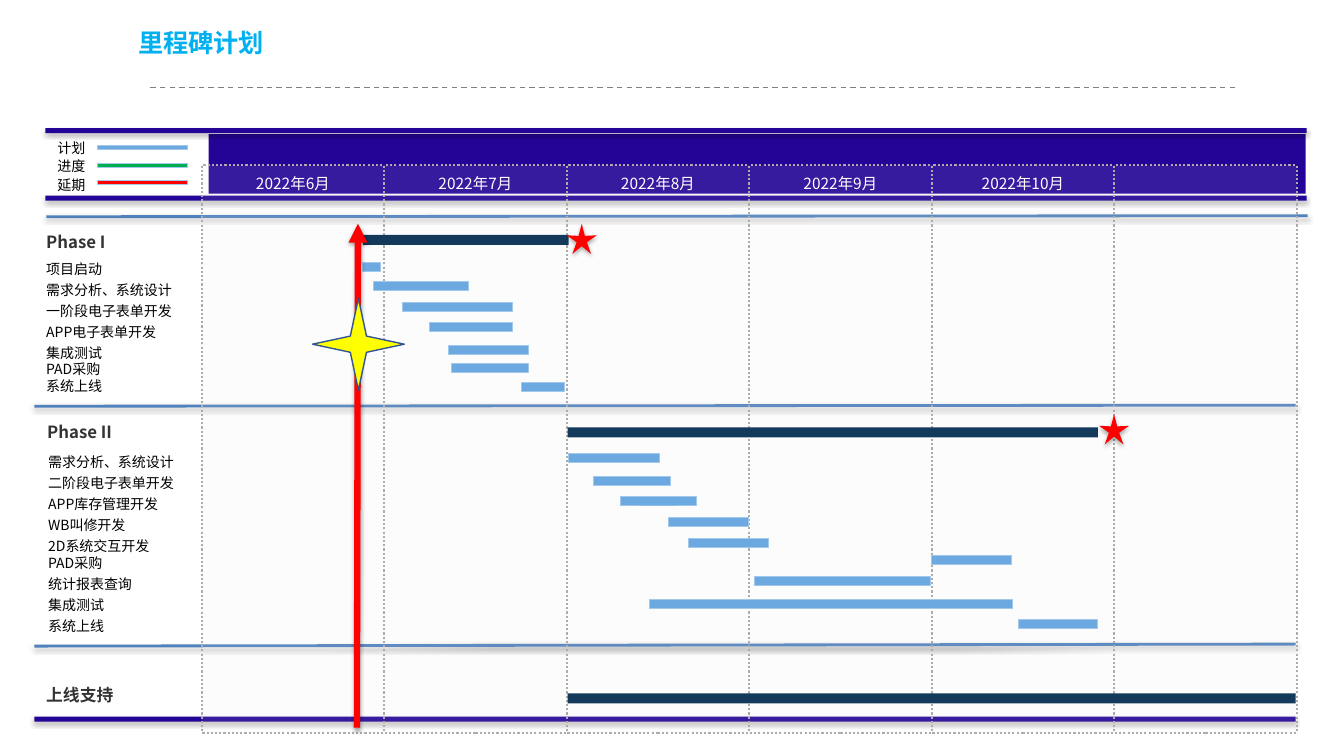
from lxml.etree import SubElement
from pptx import Presentation
from pptx.dml.color import RGBColor
from pptx.enum.dml import MSO_LINE as Dash
from pptx.enum.shapes import MSO_CONNECTOR as Connector, MSO_SHAPE as Shape
from pptx.enum.text import MSO_ANCHOR as Anchor, MSO_AUTO_SIZE as AutoSize, PP_ALIGN as Align
from pptx.oxml.ns import qn
from pptx.util import Emu, Pt

PX = 9144  # one hundredth of an inch
FONT = "Noto Sans CJK SC"
PURPLE, RULE_BLUE, SUMMARY, TASK, TASK_EDGE = "230496", "4F81BD", "133A5B", "6BA9E0", "A2C9EB"
RED, GREEN, YELLOW, BLACK, WHITE = "FF0000", "00B050", "FFFF00", "000000", "FFFFFF"

MONTHS = ["2022年6月", "2022年7月", "2022年8月", "2022年9月", "2022年10月", ""]
MONTH_LEFT, MONTH_WIDTH = 200, 181

LEGEND = [("计划", TASK), ("进度", GREEN), ("延期", RED)]

# heading, left, top, width
HEADINGS = [("Phase I", 36, 225, 81), ("Phase II", 37, 413, 86), ("上线支持", 36, 674, 88)]

# left, top, width, height, tasks
TASK_LISTS = [
    (36, 249, 159, 166, ["项目启动", "需求分析、系统设计", "一阶段电子表单开发",
                         "APP电子表单开发", "集成测试", "PAD采购", "系统上线"]),
    (38, 441, 163, 216, ["需求分析、系统设计", "二阶段电子表单开发", "APP库存管理开发",
                         "WB叫修开发", "2D系统交互开发", "PAD采购", "统计报表查询",
                         "集成测试", "系统上线"]),
]
SINGLE_SPACED = {(0, "PAD采购"), (0, "系统上线"), (1, "PAD采购")}

# left, top, width
SUMMARY_BARS = [(360, 233, 204), (563, 424, 526), (563, 688, 722)]
TASK_BARS = [
    (360, 260, 17), (370, 279, 95), (399, 300, 109), (426, 320, 82),
    (445, 343, 79), (448, 361, 76), (517, 379, 43),
    (564, 450, 90), (589, 473, 76), (615, 493, 76), (663, 513, 79), (683, 534, 79),
    (924, 551, 79), (748, 572, 175), (644, 595, 360), (1010, 615, 79),
]


def px(value):
    return Emu(value * PX)


def rgb(value):
    return RGBColor.from_string(value)


class MilestonePage:
    def __init__(self, deck):
        self.page = deck.slides.add_slide(deck.slide_layouts[5])
        self.shapes = self.page.shapes

    def effects(self, item, shadow=None):
        """Replace theme effects by none, or by a downward shadow of (opacity, distance)."""
        props = item.element.spPr
        effects = SubElement(props, qn("a:effectLst"))
        if shadow:
            opacity, distance = shadow
            outer = SubElement(effects, qn("a:outerShdw"), blurRad=str(Pt(3.1)),
                               dist=str(Pt(distance)), dir="5400000", rotWithShape="0")
            color = SubElement(outer, qn("a:srgbClr"), val=BLACK)
            SubElement(color, qn("a:alpha"), val=str(opacity * 1000))

    def stroke(self, item, color, width, dash=None):
        item.line.color.rgb = rgb(color)
        for name, value in {"width": Pt(width), "dash_style": dash}.items():
            setattr(item.line, name, value)

    def shape(self, kind, left, top, width, height, fill, edge=None, opacity=None, shadow=None):
        item = self.shapes.add_shape(kind, px(left), px(top), px(width), px(height))
        item.fill.solid()
        item.fill.fore_color.rgb = rgb(fill)
        if opacity:
            color = item.element.spPr.find(qn("a:solidFill"))[0]
            SubElement(color, qn("a:alpha"), val=str(opacity * 1000))
        if edge:
            self.stroke(item, *edge)
        else:
            item.line.fill.background()
        self.effects(item, shadow)
        return item

    def line(self, start, end, color, width, dash=None, shadow=None, arrow=False):
        item = self.shapes.add_connector(Connector.STRAIGHT, *map(px, start + end))
        self.stroke(item, color, width, dash)
        if arrow:
            SubElement(item.element.spPr.find(qn("a:ln")), qn("a:tailEnd"), type="triangle")
        self.effects(item, shadow)

    def add_text(self, para, text, size, color, bold=False, **layout):
        span = para.add_run()
        span.text = text
        for name, value in {"name": FONT, "size": Pt(size), "bold": bold}.items():
            setattr(span.font, name, value)
        span.font.color.rgb = rgb(color)
        SubElement(span.font._element, qn("a:ea"), typeface=FONT)
        for name, value in layout.items():
            setattr(para, name, value)

    def textbox(self, left, top, width, height, wrap=False):
        box = self.shapes.add_textbox(px(left), px(top), px(width), px(height))
        frame = box.text_frame
        for name, value in {"word_wrap": wrap, "auto_size": AutoSize.SHAPE_TO_FIT_TEXT}.items():
            setattr(frame, name, value)
        return frame

    def title(self, text):
        title = self.shapes.title
        place = {"left": 127, "top": 10, "width": 1000, "height": 67}
        for name, value in place.items():
            setattr(title, name, px(value))
        title.text_frame.vertical_anchor = Anchor.MIDDLE
        self.add_text(title.text_frame.paragraphs[0], text, 18, "00B0F0", True,
                      alignment=Align.LEFT, line_spacing=0.9)

    def band(self, left, top):
        self.shape(Shape.RECTANGLE, left, top, 1251, 5, PURPLE, shadow=(35, 1.8))

    def divider(self, left, top, rise):
        self.line((left, top), (left + 1251, top - rise), RULE_BLUE, 2, shadow=(38, 1.6))

    def month(self, index, text):
        column = self.shape(Shape.RECTANGLE, MONTH_LEFT + index * MONTH_WIDTH, 164,
                            MONTH_WIDTH, 563, "EAEAEA", ("AFABAB", 1.5, Dash.ROUND_DOT), 10)
        frame = column.text_frame
        for name, value in {"margin_top": px(9), "margin_bottom": px(5), "word_wrap": False,
                            "vertical_anchor": Anchor.TOP}.items():
            setattr(frame, name, value)
        if text:
            self.add_text(frame.paragraphs[0], text, 11, WHITE, alignment=Align.CENTER)

    def task_bar(self, left, top, width, height=9, fill=TASK):
        self.shape(Shape.RECTANGLE, left, top, width, height, fill, (TASK_EDGE, 0.75))

    def milestone(self, left, top):
        star = self.shape(Shape.STAR_5_POINT, left, top, 30, 30, RED, shadow=(35, 1.8))
        star.adjustments[0] = 0.169


def main():
    deck = Presentation()
    deck.slide_width, deck.slide_height = px(1333), px(750)
    page = MilestonePage(deck)

    page.line((1225, 87), (148, 87), "808080", 1, Dash.DASH)
    page.title("里程碑计划")
    page.shape(Shape.RECTANGLE, 207, 133, 1088, 59, PURPLE)
    for left, top in [(45, 194), (45, 127), (34, 711)]:
        page.band(left, top)
    for left, top, rise in [(46, 215, 1), (34, 403, 1), (34, 641, 2)]:
        page.divider(left, top, rise)
    for index, text in enumerate(MONTHS):
        page.month(index, text)

    for text, left, top, width in HEADINGS:
        frame = page.textbox(left, top, width, 30)
        page.add_text(frame.paragraphs[0], text, 12, "333333", True)
    for phase, (*place, tasks) in enumerate(TASK_LISTS):
        frame = page.textbox(*place, wrap=True)
        for index, task in enumerate(tasks):
            para = frame.add_paragraph() if index else frame.paragraphs[0]
            spacing = None if (phase, task) in SINGLE_SPACED else Pt(15)
            page.add_text(para, task, 10, BLACK, line_spacing=spacing)
    for index, (text, color) in enumerate(LEGEND):
        frame = page.textbox(47, 129 + round(index * 18.5), 48, 29)
        page.add_text(frame.paragraphs[0], text, 10, BLACK, line_spacing=Pt(15))
        page.task_bar(97, 144 + round(index * 17.6), 89, 4, color)

    for left, top, width in SUMMARY_BARS:
        page.shape(Shape.RECTANGLE, left, top, width, 10, SUMMARY)
    for bar in TASK_BARS:
        page.task_bar(*bar)
    for left, top in [(562, 222), (1090, 411)]:
        page.milestone(left, top)
    page.line((354, 722), (355, 222), RED, 4.5, shadow=(38, 1.6), arrow=True)
    page.shape(Shape.STAR_4_POINT, 310, 296, 91, 91, YELLOW, ("325491", 1))
    deck.save("out.pptx")


if __name__ == "__main__":
    main()
